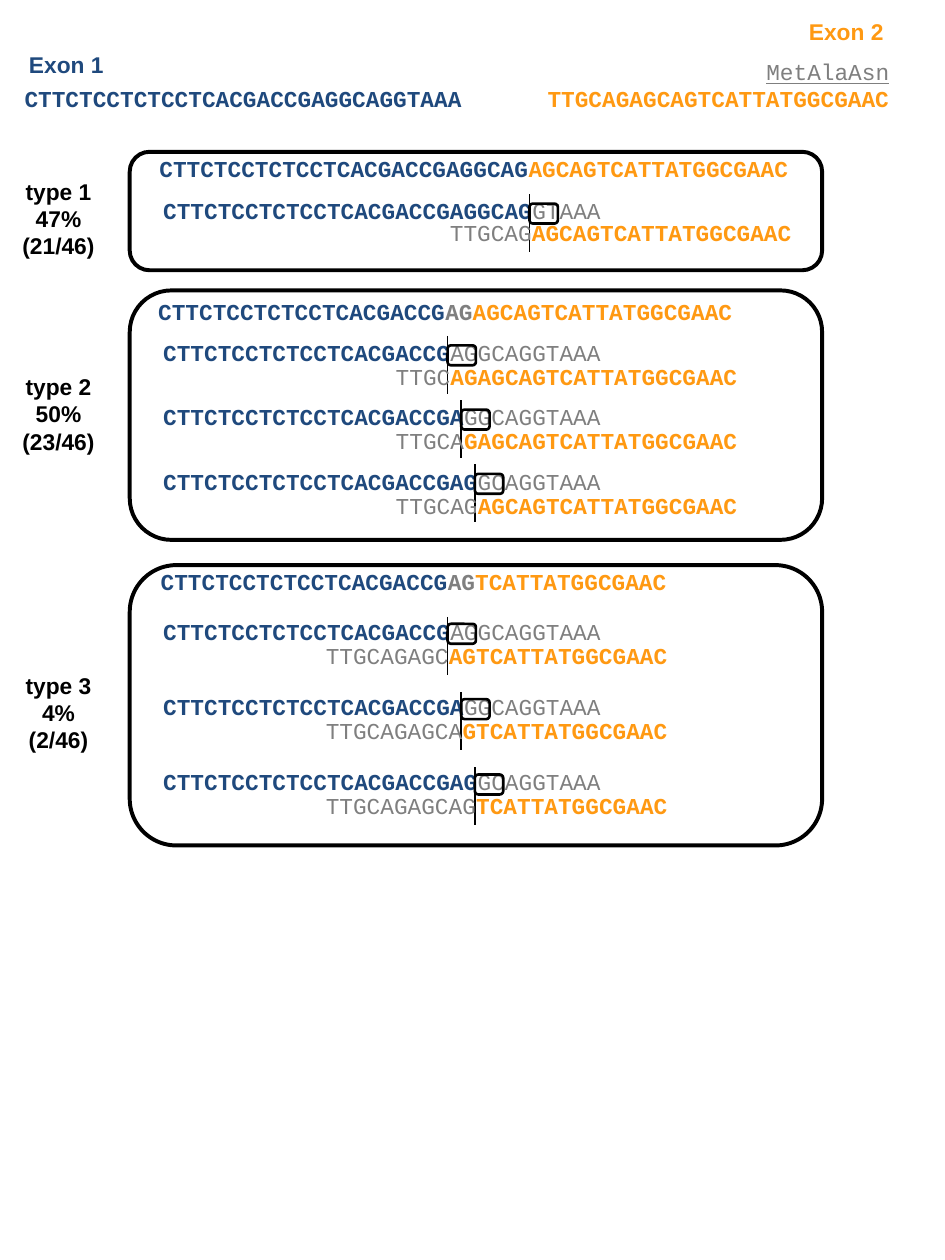
from typing import NamedTuple

from lxml.etree import SubElement
from pptx import Presentation
from pptx.dml.color import RGBColor
from pptx.enum.shapes import MSO_CONNECTOR, MSO_SHAPE
from pptx.enum.text import MSO_AUTO_SIZE, PP_ALIGN
from pptx.oxml.ns import qn
from pptx.util import Inches, Pt

SLIDE_WIDTH, SLIDE_HEIGHT = Inches(15), Inches(20)

COLORS = {"exon 1": "1F497D", "exon 2": "FF9912", "cut": "7F7F7F", "ink": "000000"}
SEQUENCE = {"name": "Courier New", "size": Pt(26), "bold": True}
CUT_OFF = SEQUENCE | {"bold": False}
PROTEIN = CUT_OFF | {"underline": True}
LABEL = SEQUENCE | {"name": "Arial"}

EXON_1 = "CTTCTCCTCTCCTCACGACCGAGGCAGGTAAA"
EXON_2 = "TTGCAGAGCAGTCATTATGGCGAAC"

# Lengths are percent of the slide's width (x) or height (y).
BASE = 100 * 0.6 * 26 / (15 * 72)  # one monospaced letter
INSET = 0.67
LINE_HEIGHT = 2.7
ALIGNMENT_LEFT = 16.6
PANEL_LEFT, PANEL_WIDTH = 13.73, 73.27


class SpliceType(NamedTuple):
    """Splices are (bases kept of exon 1, bases skipped of exon 2)."""
    label: list
    label_top: float
    panel_top: float
    panel_height: float
    merged_left: float
    merged_top: float
    shared: str
    splices: list
    first_top: float
    pitch: float
    exon_2_shift: float
    exon_2_drop: float
    marker_drop: float


SPLICE_TYPES = [
    SpliceType(["type 1", "47%", "(21/46)"], 13.85, 12.05, 9.4, 16.2, 12.05, "",
               [(27, 6)], 15.4, 0, 0, 1.75, 0),
    SpliceType(["type 2", "50%", "(23/46)"], 29.35, 23.05, 19.8, 16.07, 23.4, "AG",
               [(21, 4), (22, 5), (23, 6)], 26.65, 5.1, 0.05, 1.9, 0),
    SpliceType(["type 3", "4%", "(2/46)"], 53.05, 44.85, 22.25, 16.33, 44.85, "AG",
               [(21, 9), (22, 10), (23, 11)], 48.75, 5.98, -0.13, 1.9, 0.2),
]


def x(share):
    return round(SLIDE_WIDTH * share / 100)


def y(share):
    return round(SLIDE_HEIGHT * share / 100)


def rgb(color):
    return RGBColor.from_string(COLORS[color])


def add_text(slide, left, top, width, lines, align=PP_ALIGN.LEFT):
    """Each line is a list of (text, color, font format) runs.

    Only the side the text is aligned to keeps its inset.
    """
    box = slide.shapes.add_textbox(x(left), y(top), x(width), y(LINE_HEIGHT * len(lines)))
    frame = box.text_frame
    frame.word_wrap = True
    frame.auto_size = MSO_AUTO_SIZE.SHAPE_TO_FIT_TEXT
    frame.margin_left = x(INSET) if align == PP_ALIGN.LEFT else 0
    frame.margin_right = x(INSET) if align == PP_ALIGN.RIGHT else 0
    for index, runs in enumerate(lines):
        paragraph = frame.add_paragraph() if index else frame.paragraphs[0]
        paragraph.alignment = align
        for text, color, font_format in runs:
            run = paragraph.add_run()
            run.text = text
            run.font.color.rgb = rgb(color)
            for attribute, value in font_format.items():
                setattr(run.font, attribute, value)


def add_sequence(slide, left, top, *runs):
    letters = sum(len(text) for text, _, _ in runs)
    add_text(slide, left, top, letters * BASE + 2 * INSET, [runs])


def add_frame(slide, left, top, width, height, weight):
    frame = slide.shapes.add_shape(
        MSO_SHAPE.ROUNDED_RECTANGLE, x(left), y(top), x(width), y(height))
    frame.shadow.inherit = False
    frame.fill.background()
    frame.line.color.rgb = rgb("ink")
    frame.line.width = Pt(weight)


def add_cut_line(slide, left, top):
    cut = slide.shapes.add_connector(
        MSO_CONNECTOR.STRAIGHT, x(left), y(top), x(left), y(top + 4.6))
    cut.line.color.rgb = rgb("ink")
    cut.line.width = Pt(2)
    SubElement(cut._element.spPr, qn("a:effectLst"))


def add_alignment(slide, splice_type, top, kept, skipped):
    """Both exons lined up at the splice site, with the next two bases framed."""
    site = ALIGNMENT_LEFT + kept * BASE
    marker = site + INSET - 0.24
    add_cut_line(slide, marker, top + splice_type.marker_drop)
    add_sequence(slide, ALIGNMENT_LEFT, top,
                 (EXON_1[:kept], "exon 1", SEQUENCE), (EXON_1[kept:], "cut", CUT_OFF))
    add_sequence(slide, site - skipped * BASE + splice_type.exon_2_shift,
                 top + splice_type.exon_2_drop,
                 (EXON_2[:skipped], "cut", CUT_OFF), (EXON_2[skipped:], "exon 2", SEQUENCE))
    add_frame(slide, marker, top + 0.76, 3, 1.58, 3)


def add_splice_type(slide, splice_type):
    kept = splice_type.splices[0][0]
    skipped = splice_type.splices[-1][1]
    merged = [(EXON_1[:kept], "exon 1", SEQUENCE), (EXON_2[skipped:], "exon 2", SEQUENCE)]
    if splice_type.shared:
        merged.insert(1, (splice_type.shared, "cut", SEQUENCE))
    add_sequence(slide, splice_type.merged_left, splice_type.merged_top, *merged)
    for row, splice in enumerate(splice_type.splices):
        add_alignment(slide, splice_type,
                      splice_type.first_top + row * splice_type.pitch, *splice)
    add_frame(slide, PANEL_LEFT, splice_type.panel_top,
              PANEL_WIDTH, splice_type.panel_height, 4.5)
    add_text(slide, 1.73, splice_type.label_top, 8.93,
             [[(line, "ink", LABEL)] for line in splice_type.label], PP_ALIGN.CENTER)


def add_exons(slide):
    add_text(slide, 2.4, 3.8, 9.2, [[("Exon 1", "exon 1", LABEL)]])
    add_sequence(slide, 1.93, 6.5, (EXON_1, "exon 1", SEQUENCE))
    add_text(slide, 84.93, 1.15, 9.2, [[("Exon 2", "exon 2", LABEL)]])
    add_text(slide, 57.33, 4.3, len(EXON_2) * BASE + 2 * INSET,
             [[("MetAlaAsn", "cut", PROTEIN)], [(EXON_2, "exon 2", SEQUENCE)]],
             PP_ALIGN.RIGHT)


def main():
    presentation = Presentation()
    presentation.slide_width, presentation.slide_height = SLIDE_WIDTH, SLIDE_HEIGHT
    slide = presentation.slides.add_slide(presentation.slide_layouts[6])
    add_exons(slide)
    for splice_type in SPLICE_TYPES:
        add_splice_type(slide, splice_type)
    presentation.save("out.pptx")


if __name__ == "__main__":
    main()
